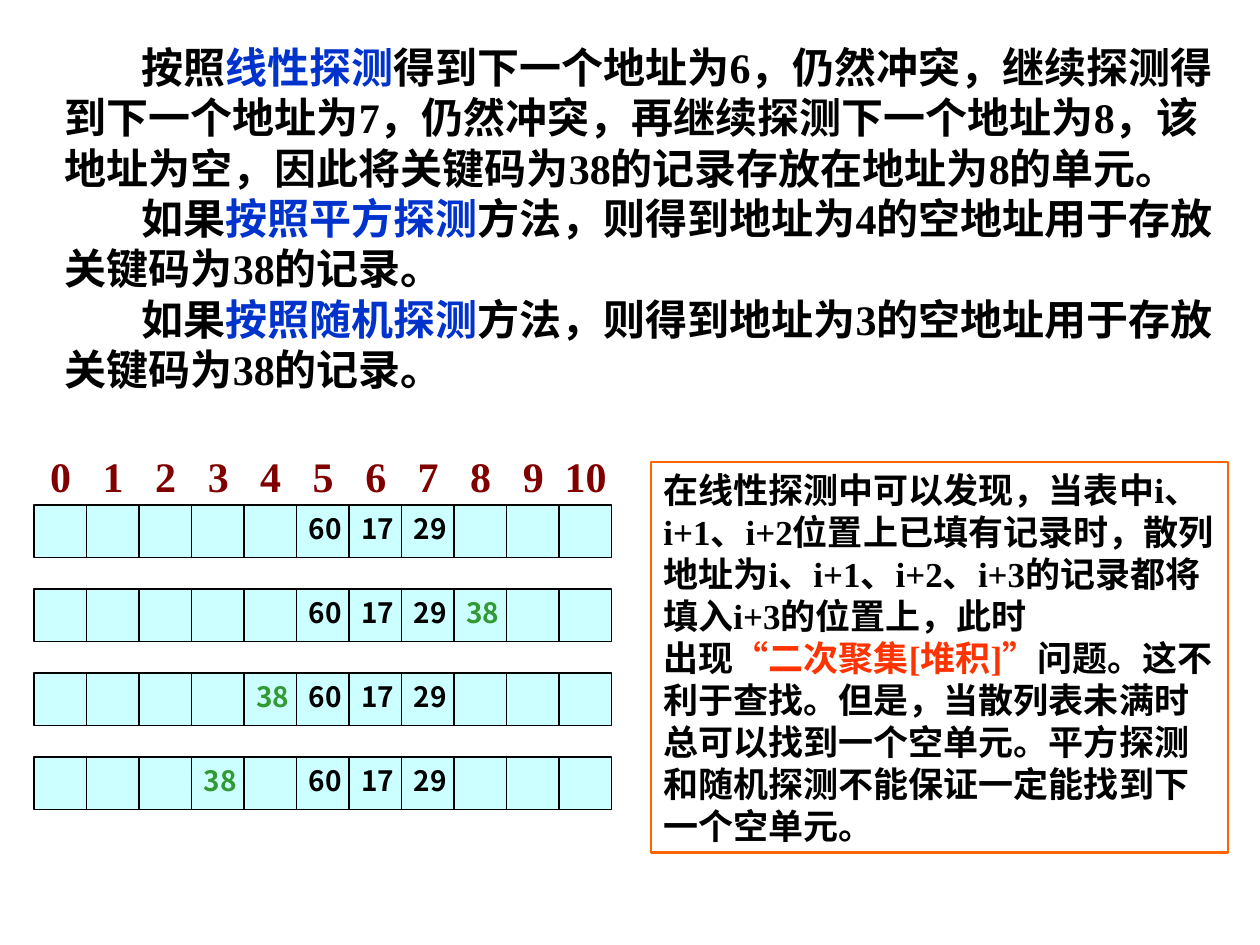
from lxml import etree
from pptx import Presentation
from pptx.dml.color import RGBColor
from pptx.enum.shapes import MSO_CONNECTOR, MSO_SHAPE
from pptx.enum.text import MSO_ANCHOR, MSO_AUTO_SIZE, PP_ALIGN
from pptx.oxml.ns import qn
from pptx.util import Inches, Pt

RECTANGLE = MSO_SHAPE.RECTANGLE
STRAIGHT = MSO_CONNECTOR.STRAIGHT
TOP = MSO_ANCHOR.TOP
LEFT = PP_ALIGN.LEFT
GROW = MSO_AUTO_SIZE.SHAPE_TO_FIT_TEXT

SLIDE_WIDTH, SLIDE_HEIGHT = Inches(10), Inches(7.5)
UNIT = SLIDE_WIDTH / 24
SLOTS = 11
ROW_PITCH = 1.6
SERIF, SANS = "Times New Roman", "Noto Sans CJK SC"
BLACK, BLUE, RED, GREEN = "000000", "0033CC", "FF3300", "339933"
MAROON, ORANGE, CYAN = "800000", "FF6600", "CCFFFF"

EXPLANATION = [
    [("按照", BLACK), ("线性探测", BLUE),
     ("得到下一个地址为6，仍然冲突，继续探测得到下一个地址为7，仍然冲突，"
      "再继续探测下一个地址为8，该地址为空，因此将关键码为38的记录存放在地址为8的单元。", BLACK)],
    [("如果", BLACK), ("按照平方探测", BLUE),
     ("方法，则得到地址为4的空地址用于存放关键码为38的记录。", BLACK)],
    [("如果", BLACK), ("按照随机探测", BLUE),
     ("方法，则得到地址为3的空地址用于存放关键码为38的记录。", BLACK)],
]
CLUSTERING = [
    [("在线性探测中可以发现，当表中i、i+1、i+2位置上已填有记录时，"
      "散列地址为i、i+1、i+2、i+3的记录都将填入i+3的位置上，此时", BLACK)],
    [("出现", BLACK), ("“二次聚集[堆积]”", RED),
     ("问题。这不利于查找。但是，当散列表未满时总可以找到一个空单元。"
      "平方探测和随机探测不能保证一定能找到下一个空单元。", BLACK)],
]
STORED_KEYS = {5: "60", 6: "17", 7: "29"}
NEW_KEY = "38"
NEW_KEY_SLOTS = [None, 8, 4, 3]


def color(value):
    return RGBColor.from_string(value)


def grid(*lengths):
    return [round(length * UNIT) for length in lengths]


def write(shape, paragraphs, size, font_name):
    frame = shape.text_frame
    frame.word_wrap = True
    frame.auto_size = GROW
    frame.vertical_anchor = TOP
    for index, parts in enumerate(paragraphs):
        paragraph = frame.paragraphs[0] if index == 0 else frame.add_paragraph()
        paragraph.alignment = LEFT
        paragraph.font.size = Pt(size)
        paragraph.font.bold = True
        paragraph.font.name = font_name
        for text, text_color in parts:
            run = paragraph.add_run()
            run.text = text
            run.font.color.rgb = color(text_color)
    return frame.paragraphs


def add_explanation(slide, box):
    shape = slide.shapes.add_textbox(*grid(*box))
    for paragraph in write(shape, EXPLANATION, 24, SERIF):
        paragraph._p.get_or_add_pPr().set("indent", str(Inches(0.61)))


def add_callout(slide, box):
    shape = slide.shapes.add_shape(RECTANGLE, *grid(*box))
    shape.shadow.inherit = False
    shape.fill.background()
    shape.line.color.rgb = color(ORANGE)
    shape.line.width = Pt(1.25)
    write(shape, CLUSTERING, 20, SERIF)


def add_slot_numbers(slide, box):
    shape = slide.shapes.add_textbox(*grid(*box))
    paragraph = shape.text_frame.paragraphs[0]
    tabs = etree.SubElement(paragraph._p.get_or_add_pPr(), qn("a:tabLst"))
    for slot in range(1, SLOTS):
        position = round(slot * UNIT + Pt(6))
        etree.SubElement(tabs, qn("a:tab"), pos=str(position), algn="ctr")
    numbers = "\t".join(str(slot) for slot in range(SLOTS))
    write(shape, [[(numbers, MAROON)]], 24, SERIF)


def add_hash_row(slide, box, new_slot):
    left, top, width, height = box
    shapes = slide.shapes.add_group_shape().shapes
    bar = shapes.add_shape(RECTANGLE, *grid(*box))
    bar.shadow.inherit = False
    bar.fill.solid()
    bar.fill.fore_color.rgb = color(CYAN)
    bar.line.color.rgb = color(BLACK)
    bar.line.width = Pt(0.75)
    cell = width / SLOTS
    for slot in range(1, SLOTS):
        x = left + slot * cell
        divider = shapes.add_connector(STRAIGHT, *grid(x, top, x, top + height))
        divider.line.color.rgb = color(BLACK)
        divider.line.width = Pt(0.75)
        etree.SubElement(divider._element.spPr, qn("a:effectLst"))
    keys = [(slot, key, BLACK) for slot, key in STORED_KEYS.items()]
    if new_slot is not None:
        keys.append((new_slot, NEW_KEY, GREEN))
    for slot, key, key_color in keys:
        label = shapes.add_textbox(*grid(left + slot * cell, top, 1.2 * cell, 0.89 * height))
        write(label, [[(key, key_color)]], 16, SANS)


def main():
    presentation = Presentation()
    presentation.slide_width, presentation.slide_height = SLIDE_WIDTH, SLIDE_HEIGHT
    slide = presentation.slides.add_slide(presentation.slide_layouts[6])
    add_explanation(slide, (1, 0.67, 22.6, 6.97))
    add_callout(slide, (12.4, 8.8, 11, 7.44))
    for index, new_slot in enumerate(NEW_KEY_SLOTS):
        add_hash_row(slide, (0.65, 9.62 + index * ROW_PITCH, SLOTS, 1), new_slot)
    add_slot_numbers(slide, (0.72, 8.47, 11.71, 1.2))
    presentation.save("out.pptx")


if __name__ == "__main__":
    main()
